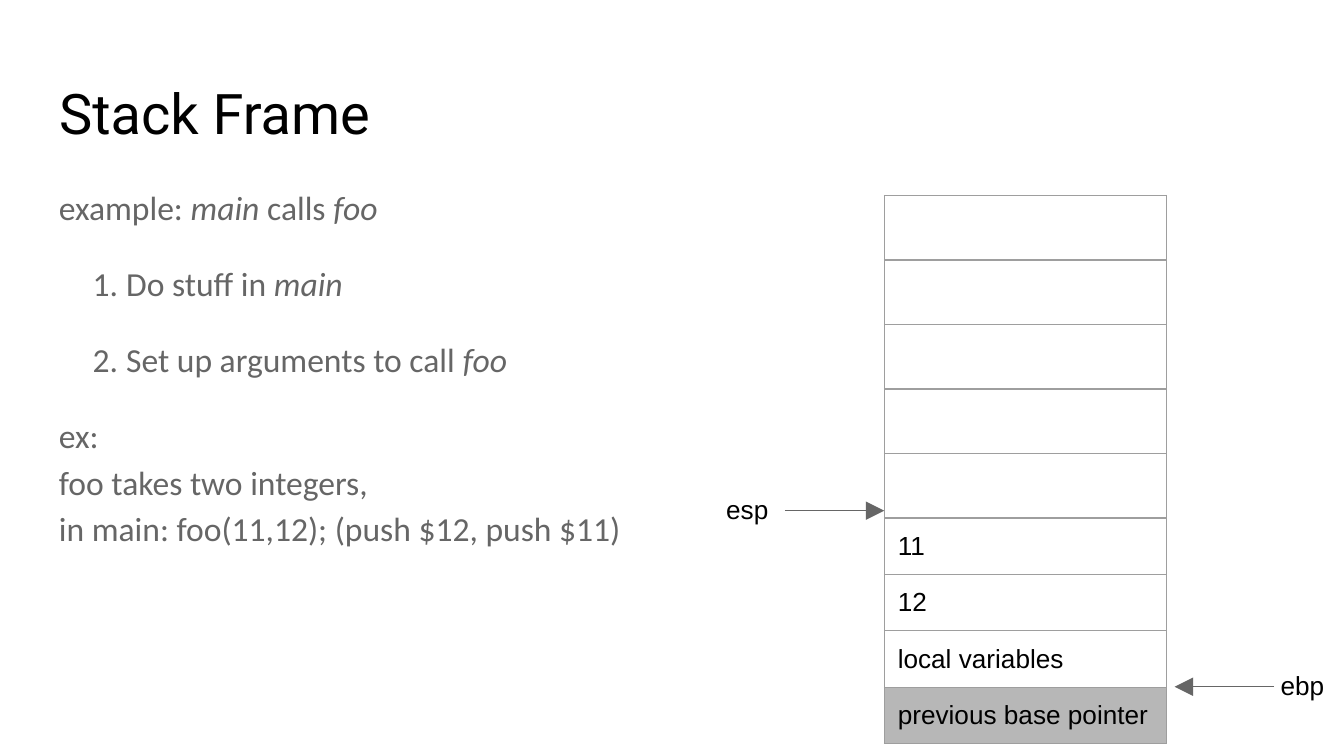
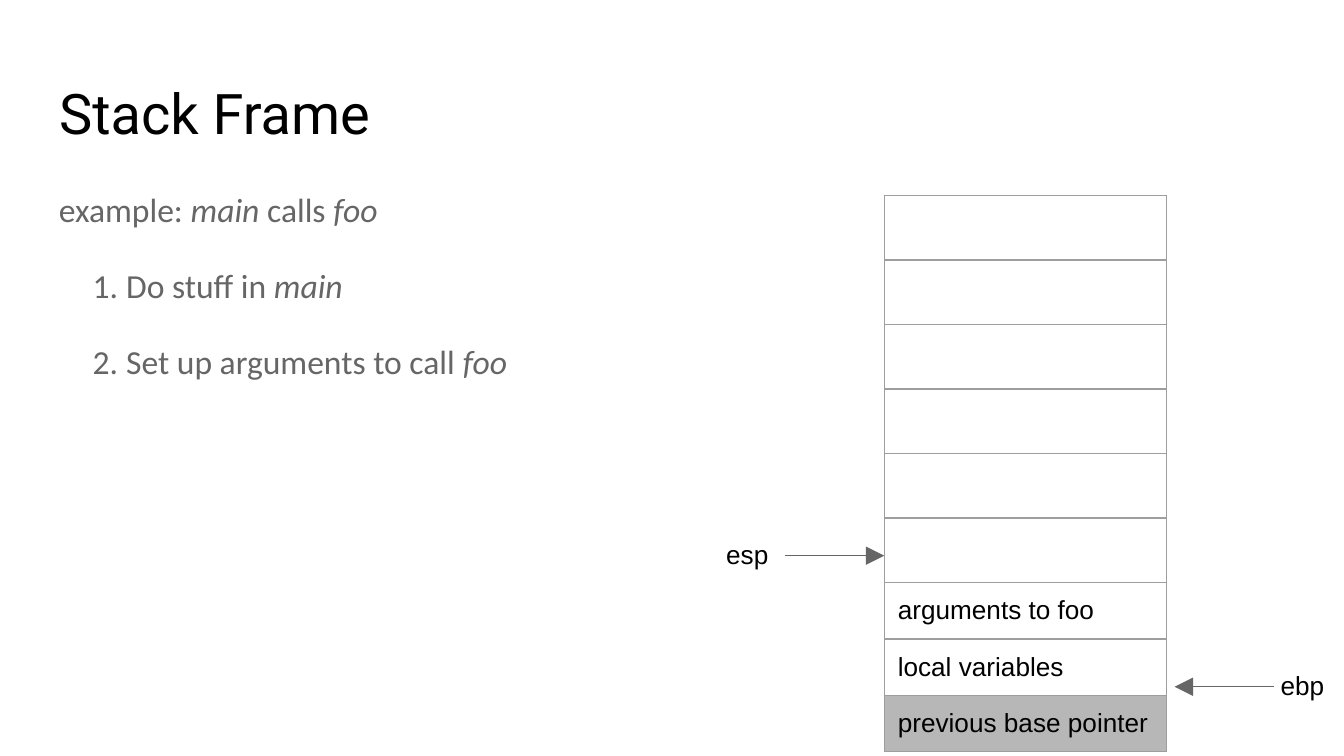
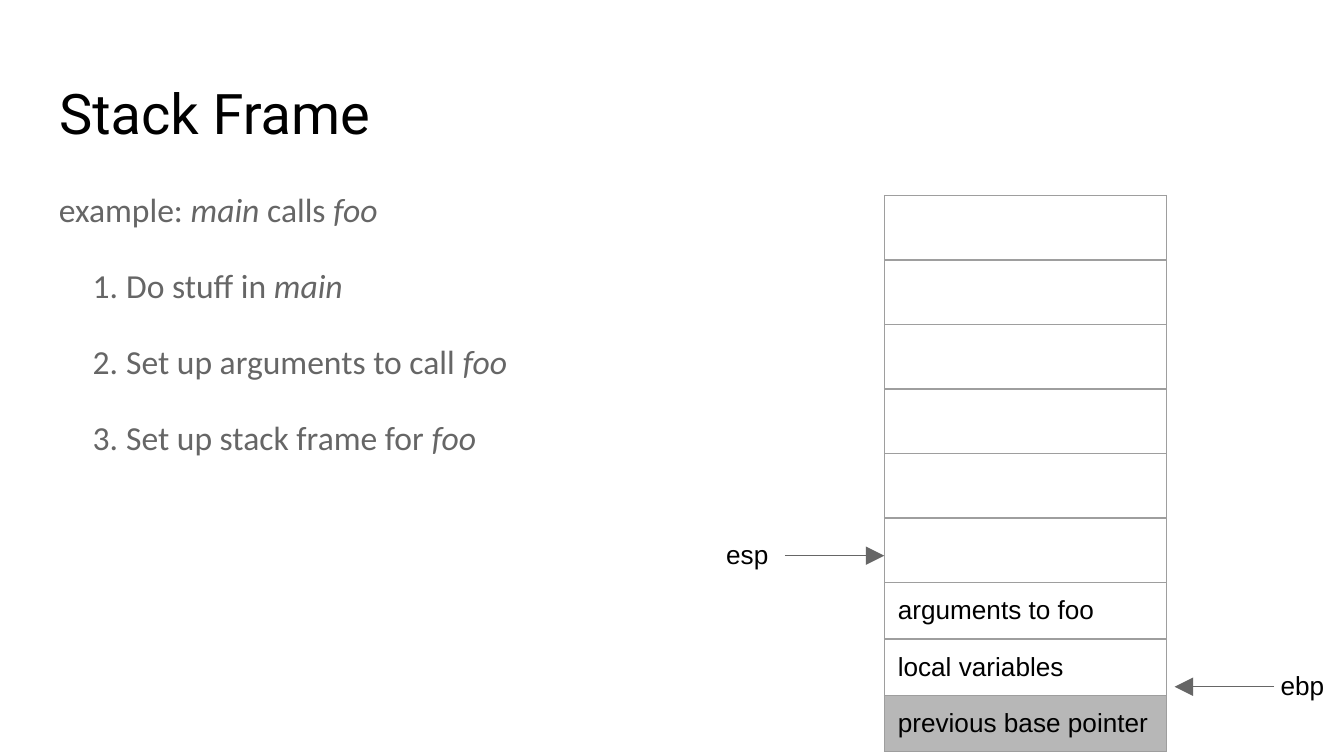
"""Build three slides that follow a call stack while main calls foo."""
from lxml import etree
from pptx import Presentation
from pptx import util as u
from pptx.dml.color import RGBColor
from pptx.enum import shapes, text
from pptx.oxml.ns import qn

COLORS = {"ink": "000000", "body": "666666", "grid": "9E9E9E",
          "cell": "FFFFFF", "saved": "B7B7B7"}
EMU_PER_PX = 4572
INSET = 20
EMPTY_ROW, FILLED_ROW = 96, 84
SAVED_ENTRY = "previous base pointer"


def px(length):
    return u.Emu(length * EMU_PER_PX)


def rgb(name):
    return RGBColor.from_string(COLORS[name])


def solid_fill(parent, tag, color):
    holder = etree.SubElement(parent, qn(tag))
    etree.SubElement(holder, qn("a:srgbClr"), val=COLORS[color])


class Deck:
    def __init__(self, width, height):
        self.prs = Presentation()
        self.prs.slide_width, self.prs.slide_height = px(width), px(height)
        self.slide = None

    def run(self, paragraph, words, font, size, color, italic=False):
        run = paragraph.add_run()
        run.text = words
        run.font.name, run.font.size = font, u.Pt(size)
        run.font.color.rgb = rgb(color)
        run.font.italic = italic

    def inset(self, holder):
        holder.margin_left = holder.margin_right = px(INSET)
        holder.margin_top = holder.margin_bottom = px(INSET)

    def frame(self, shape):
        frame = shape.text_frame
        frame.word_wrap = True
        frame.auto_size = text.MSO_AUTO_SIZE.NONE
        frame.vertical_anchor = text.MSO_ANCHOR.TOP
        self.inset(frame)
        return frame

    def text_box(self, left, top, width, height):
        return self.frame(self.slide.shapes.add_textbox(
            px(left), px(top), px(width), px(height)))

    def title_slide(self, words):
        self.slide = self.prs.slides.add_slide(self.prs.slide_layouts[5])
        title = self.slide.shapes.title
        title.left, title.top, title.width, title.height = map(px, (68, 97, 1864, 126))
        paragraph = self.frame(title).paragraphs[0]
        paragraph.alignment = text.PP_ALIGN.LEFT
        self.run(paragraph, words, "Roboto", 30, "ink")

    def number(self, paragraph):
        props = paragraph._p.get_or_add_pPr()
        props.set("marL", str(px(100)))
        props.set("indent", str(px(-50)))
        solid_fill(props, "a:buClr", "body")
        etree.SubElement(props, qn("a:buAutoNum"), type="arabicPeriod")

    def explanation(self, top, intro, steps, example):
        frame = self.text_box(68, top, 1864, 748)
        entries = [(intro, False)] + [(step, True) for step in steps]
        if example:
            entries.append((example, False))
        for index, (parts, numbered) in enumerate(entries):
            paragraph = frame.add_paragraph() if index else frame.paragraphs[0]
            if numbered:
                self.number(paragraph)
            paragraph.line_spacing, paragraph.space_after = 1.15, u.Pt(16)
            for part in parts:
                if part == "\n":
                    paragraph.add_line_break()
                else:
                    self.run(paragraph, part, "Calibri", 18, "body",
                             part in ("main", "foo"))

    def borders(self, cell):
        props = cell._tc.get_or_add_tcPr()
        for position, side in enumerate(("a:lnL", "a:lnR", "a:lnT", "a:lnB")):
            line = etree.Element(qn(side), w=str(u.Pt(0.75)))
            solid_fill(line, "a:solidFill", "grid")
            props.insert(position, line)

    def stack(self, entries):
        heights = [FILLED_ROW if entry else EMPTY_ROW for entry in entries]
        table = self.slide.shapes.add_table(
            len(entries), 1, px(1316), px(291), px(420), px(sum(heights))).table
        table.first_row = table.horz_banding = False
        for row, height, entry in zip(table.rows, heights, entries):
            row.height = px(height)
            cell = row.cells[0]
            cell.fill.solid()
            cell.fill.fore_color.rgb = rgb("saved" if entry == SAVED_ENTRY else "cell")
            self.borders(cell)
            if entry:
                self.inset(cell)
                self.run(cell.text_frame.paragraphs[0], entry, "Arial", 14, "ink")

    def pointer(self, register, label_left, tail, tip, y):
        arrow = self.slide.shapes.add_connector(
            shapes.MSO_CONNECTOR.STRAIGHT, px(tail), px(y), px(tip), px(y))
        arrow.line.color.rgb, arrow.line.width = rgb("body"), u.Pt(0.75)
        etree.SubElement(arrow.line._get_or_add_ln(), qn("a:tailEnd"),
                         type="triangle", w="lg", len="lg")
        etree.SubElement(arrow._element.spPr, qn("a:effectLst"))
        label = self.text_box(label_left, y - 46, 226, 92)
        self.run(label.paragraphs[0], register, "Arial", 14, "ink")


INTRO = ("example: ", "main", " calls ", "foo")
STEPS = [("Do stuff in ", "main"),
         ("Set up arguments to call ", "foo"),
         ("Set up stack frame for ", "foo")]
EXAMPLE = ("ex:", "\n", "foo takes two integers,", "\n",
           "in main: foo(11,12); (push $12, push $11)")
FRAME_BASE = ["local variables", SAVED_ENTRY]
PUSHED = [""] * 5 + ["11", "12"] + FRAME_BASE
READY = [""] * 6 + ["arguments to foo"] + FRAME_BASE
STAGES = [(249, STEPS[:2], EXAMPLE, PUSHED, 760),
          (252, STEPS[:2], None, READY, 827),
          (252, STEPS, None, READY, 827)]


def main():
    deck = Deck(2000, 1125)
    for top, steps, example, entries, esp_y in STAGES:
        deck.title_slide("Stack Frame")
        deck.explanation(top, INTRO, steps, example)
        deck.stack(entries)
        deck.pointer("ebp", 1886, 1896, 1748, 1022)
        deck.pointer("esp", 1061, 1168, 1316, esp_y)
    deck.prs.save("out.pptx")


if __name__ == "__main__":
    main()
